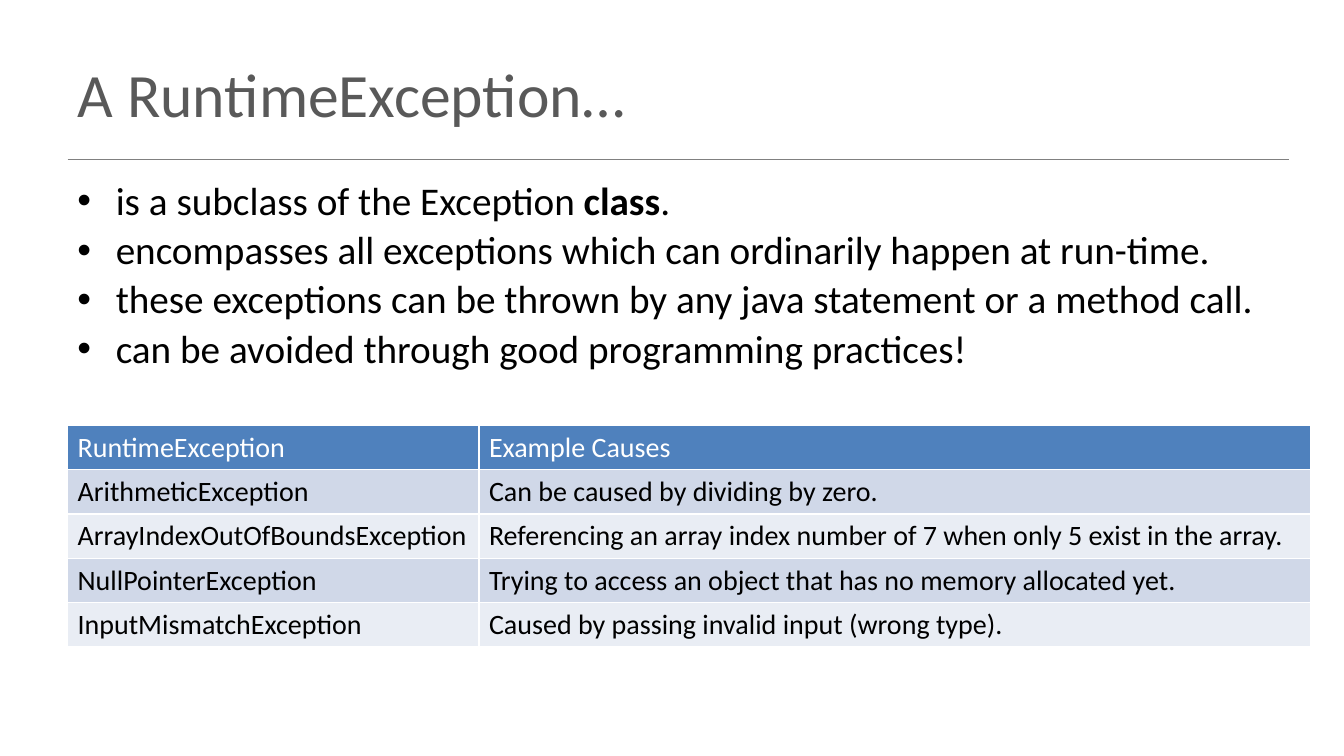
from lxml import etree
from pptx import Presentation
from pptx.dml.color import RGBColor
from pptx.enum.shapes import MSO_CONNECTOR
from pptx.enum.text import MSO_ANCHOR, PP_ALIGN
from pptx.oxml.ns import qn
from pptx.util import Inches, Pt

COLORS = {
    "title": "595959",
    "rule": "808080",
    "text": "000000",
    "white": "FFFFFF",
    "header": "4F81BD",
    "odd_row": "D0D8E8",
    "even_row": "E9EDF4",
}
FONT = "Calibri"
POINTS = [
    [("is a subclass of the Exception ", False), ("class", True), (".", False)],
    [("encompasses all exceptions which can ordinarily happen at run-time.", False)],
    [("these exceptions can be thrown by any java statement or a method call.", False)],
    [("can be avoided through good programming practices!", False)],
]
CAUSES = [
    ("RuntimeException", "Example Causes"),
    ("ArithmeticException", "Can be caused by dividing by zero."),
    ("ArrayIndexOutOfBoundsException",
     "Referencing an array index number of 7 when only 5 exist in the array."),
    ("NullPointerException", "Trying to access an object that has no memory allocated yet."),
    ("InputMismatchException", "Caused by passing invalid input (wrong type)."),
]


def color(name):
    return RGBColor.from_string(COLORS[name])


def set_font(font, size, color_name):
    font.name = FONT
    font.size = Pt(size)
    font.color.rgb = color(color_name)


def add_heading(slide, left, top, width, height):
    title = slide.shapes.title
    title.left, title.top = Inches(left), Inches(top)
    title.width, title.height = Inches(width), Inches(height)
    title.text_frame.text = "A RuntimeException…"
    title.text_frame.vertical_anchor = MSO_ANCHOR.MIDDLE
    heading = title.text_frame.paragraphs[0]
    heading.alignment = PP_ALIGN.LEFT
    set_font(heading.font, 44, "title")

    rule_y = Inches(top + height + 0.03)
    rule = slide.shapes.add_connector(
        MSO_CONNECTOR.STRAIGHT, Inches(left), rule_y, Inches(left + width + 0.11), rule_y)
    rule.line.color.rgb = color("rule")
    rule.line.width = Pt(1)
    etree.SubElement(rule._element.spPr, qn("a:effectLst"))


def add_points(slide, left, top, width, height):
    body = slide.shapes.add_textbox(
        Inches(left), Inches(top), Inches(width), Inches(height)).text_frame
    body.word_wrap = True
    for index, pieces in enumerate(POINTS):
        point = body.add_paragraph() if index else body.paragraphs[0]
        point.line_spacing = 0.9
        point.space_before = Pt(5)
        set_font(point.font, 28, "text")
        properties = point._p.get_or_add_pPr()
        properties.set("marL", str(Inches(0.38)))
        properties.set("indent", str(-Inches(0.38)))
        bullet_font = etree.Element(qn("a:buFont"), typeface="Arial")
        bullet = etree.Element(qn("a:buChar"), char="•")
        defaults = properties.find(qn("a:defRPr"))
        defaults.addprevious(bullet_font)
        defaults.addprevious(bullet)
        for text, bold in pieces:
            run = point.add_run()
            run.text = text
            if bold:
                run.font.bold = True


def add_borders(cell):
    properties = cell._tc.get_or_add_tcPr()
    for position, side in enumerate(("a:lnL", "a:lnR", "a:lnT", "a:lnB")):
        border = etree.Element(qn(side), w=str(Pt(1)))
        fill = etree.SubElement(border, qn("a:solidFill"))
        etree.SubElement(fill, qn("a:srgbClr"), val=COLORS["white"])
        properties.insert(position, border)


def add_causes(slide, left, top, width, row_height):
    name_width = 4.08
    causes = slide.shapes.add_table(
        len(CAUSES), 2, Inches(left), Inches(top), Inches(width),
        Inches(row_height * len(CAUSES))).table
    causes.columns[0].width = Inches(name_width)
    causes.columns[1].width = Inches(width - name_width)
    for row_index, texts in enumerate(CAUSES):
        causes.rows[row_index].height = Inches(row_height)
        if row_index == 0:
            fill_name, text_color = "header", "white"
        else:
            fill_name = "odd_row" if row_index % 2 else "even_row"
            text_color = "text"
        for column_index, text in enumerate(texts):
            cell = causes.cell(row_index, column_index)
            cell.text = text
            cell.fill.solid()
            cell.fill.fore_color.rgb = color(fill_name)
            entry = cell.text_frame.paragraphs[0]
            set_font(entry.font, 20, text_color)
            entry.font.bold = False
            add_borders(cell)


def main():
    presentation = Presentation()
    presentation.slide_width = Inches(13.33)
    presentation.slide_height = Inches(7.5)
    slide = presentation.slides.add_slide(presentation.slide_layouts.get_by_name("Title Only"))
    add_heading(slide, 0.67, 0.3, 12, 1.25)
    add_points(slide, 0.67, 1.75, 12, 4.95)
    add_causes(slide, 0.67, 4.22, 12.33, 0.44)
    presentation.save("out.pptx")


if __name__ == "__main__":
    main()
